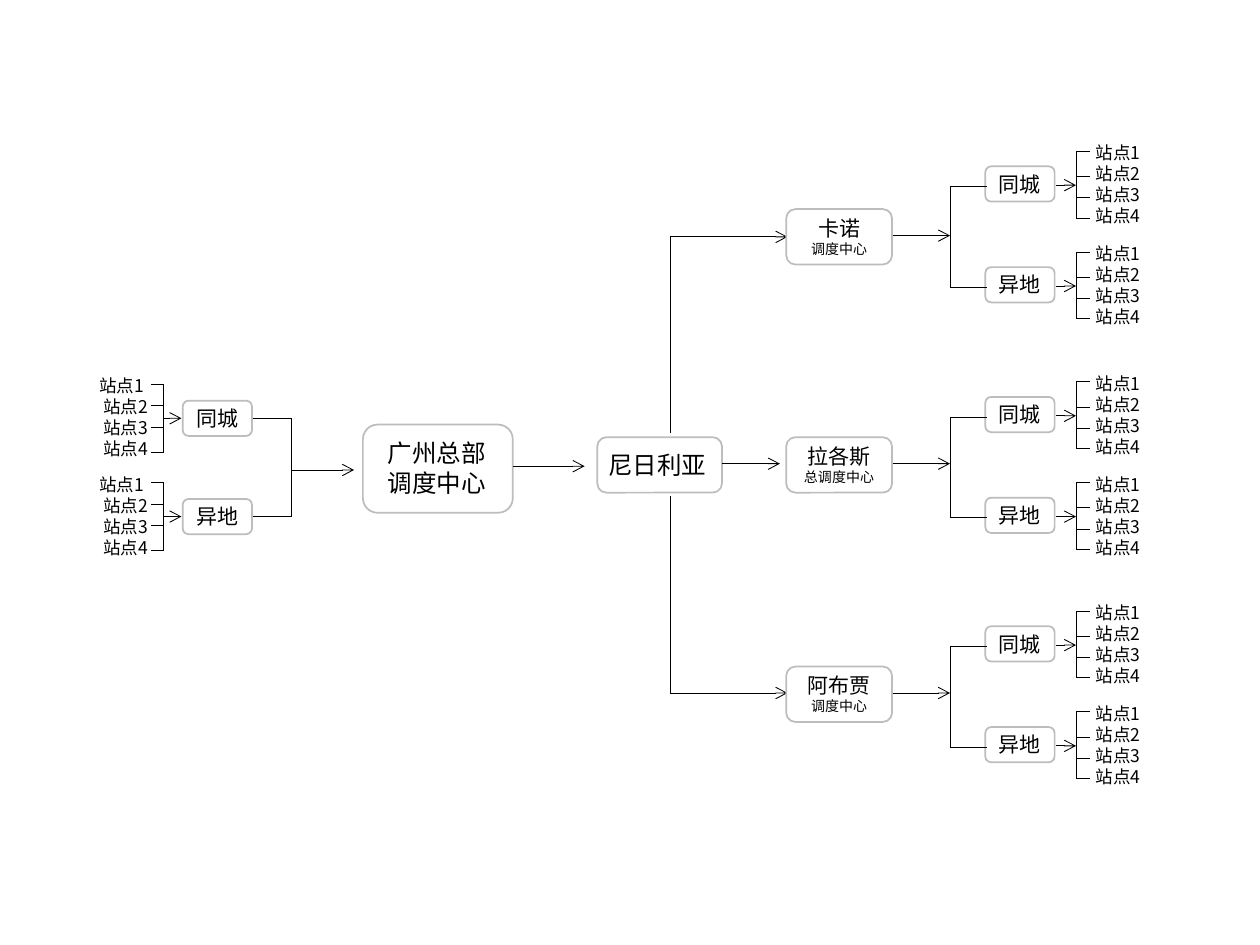
from dataclasses import dataclass

from lxml.etree import SubElement
from pptx import Presentation
from pptx.dml.color import RGBColor
from pptx.enum.shapes import MSO_CONNECTOR as Link, MSO_SHAPE as Form
from pptx.enum.text import MSO_AUTO_SIZE as Fit, PP_ALIGN as Align
from pptx.oxml.ns import qn
from pptx.slide import Slide
from pptx.util import Inches, Pt

BLACK = RGBColor(0x00, 0x00, 0x00)
WHITE = RGBColor(0xFF, 0xFF, 0xFF)
GRAY = RGBColor(0xBD, 0xBD, 0xBD)
FONT = "Noto Sans CJK SC"
STOPS = ["站点1", "站点2", "站点3", "站点4"]
GAP = 0.8


@dataclass(frozen=True)
class Area:
    left: float
    top: float
    width: float
    height: float


@dataclass(frozen=True)
class Side:
    box: float
    text: Area
    align: Align
    stops: list[str]
    spine: float
    tip: float
    ticks: tuple[float, ...]
    start: float
    end: float
    mid: float


@dataclass(frozen=True)
class City:
    name: str
    role: str
    top: float
    branch: float


LEFT = Side(1.45, Area(0.62, -0.25, 0.65, 0.77), Align.RIGHT,
            ["站点1 ", *STOPS[1:]], 1.3, 1.2,
            (-0.13, 0.04, 0.21, 0.41), 1.3, 1.44, 0.14)
RIGHT = Side(7.82, Area(8.6, -0.24, 0.93, 0.77), Align.LEFT,
             STOPS, 8.54, 8.65,
             (-0.12, 0.08, 0.25, 0.41), 8.38, 8.54, 0.15)
CITIES = [
    City("卡诺", "调度中心", 1.66, 1.32),
    City("拉各斯", "总调度中心", 3.47, 3.15),
    City("阿布贾", "调度中心", 5.29, 4.97),
]


def add_box(slide: Slide, area: Area) -> None:
    box = slide.shapes.add_shape(
        Form.FLOWCHART_ALTERNATE_PROCESS, Inches(area.left), Inches(area.top),
        Inches(area.width), Inches(area.height))
    box.shadow.inherit = False
    box.fill.solid()
    box.fill.fore_color.rgb = WHITE
    box.line.color.rgb = GRAY
    box.line.width = Pt(1)


def add_text(slide: Slide, area: Area, lines: list[str], sizes: list[int],
             align: Align = Align.CENTER) -> None:
    frame = slide.shapes.add_textbox(
        Inches(area.left), Inches(area.top),
        Inches(area.width), Inches(area.height)).text_frame
    frame.word_wrap = True
    frame.auto_size = Fit.SHAPE_TO_FIT_TEXT
    frame.text = "\n".join(lines)
    for para, size in zip(frame.paragraphs, sizes):
        para.alignment = align
        para.line_spacing = Pt(size * 1.2)
        for run in para.runs:
            run.font.size = Pt(size)
            run.font.name = FONT
            run.font.color.rgb = BLACK
            SubElement(run.font._element, qn("a:ea"), typeface=FONT)


def add_line(slide: Slide, x1: float, y1: float, x2: float, y2: float,
             arrow: bool = False) -> None:
    line = slide.shapes.add_connector(
        Link.STRAIGHT, Inches(x1), Inches(y1), Inches(x2), Inches(y2))
    line.line.color.rgb = BLACK
    line.line.width = Pt(0.5)
    if arrow:
        SubElement(line.line._get_or_add_ln(), qn("a:tailEnd"), type="arrow")
    SubElement(line._element.spPr, qn("a:effectLst"))


def add_branch(slide: Slide, side: Side, name: str, top: float) -> None:
    add_box(slide, Area(side.box, top, 0.55, 0.28))
    add_text(slide, Area(side.box, top - 0.01, 0.55, 0.3), [name], [12])
    text = side.text
    add_text(slide, Area(text.left, top + text.top, text.width, text.height),
             side.stops, [10] * len(side.stops), side.align)
    add_line(slide, side.spine, top + side.ticks[0],
             side.spine, top + side.ticks[-1])
    for tick in side.ticks:
        add_line(slide, side.tip, top + tick, side.spine, top + tick)
    add_line(slide, side.start, top + side.mid, side.end, top + side.mid, True)


def add_pair(slide: Slide, side: Side, top: float, gap: float,
             edge: float, spine: float, drop: float) -> None:
    for name, row in (("同城", top), ("异地", top + gap)):
        add_branch(slide, side, name, row)
        add_line(slide, edge, row + drop, spine, row + drop)
    add_line(slide, spine, top + drop, spine, top + gap + drop)


def add_city(slide: Slide, city: City) -> None:
    area = Area(6.24, city.top, 0.84, 0.44)
    add_box(slide, area)
    add_text(slide, area, [city.name, city.role], [12, 8])
    add_pair(slide, RIGHT, city.branch, GAP, 7.83, 7.54, 0.16)
    mid = city.top + 0.21
    add_line(slide, 7.09, mid, 7.54, mid, True)


def main() -> None:
    deck = Presentation()
    deck.slide_width, deck.slide_height = Inches(10), Inches(7.5)
    slide = deck.slides.add_slide(deck.slide_layouts[6])

    add_pair(slide, LEFT, 3.18, 0.78, 2.01, 2.31, 0.14)
    add_line(slide, 2.32, 3.73, 2.81, 3.73, True)

    add_box(slide, Area(2.88, 3.37, 1.19, 0.7))
    add_text(slide, Area(2.98, 3.43, 1.01, 0.57),
             ["广州总部调度中心"], [14], Align.LEFT)
    add_line(slide, 4.07, 3.7, 4.64, 3.7, True)

    add_box(slide, Area(4.74, 3.47, 0.99, 0.44))
    add_text(slide, Area(4.73, 3.52, 1, 0.34), ["尼日利亚"], [14], Align.LEFT)
    add_line(slide, 5.73, 3.68, 6.19, 3.68, True)
    for near, far in ((3.44, 1.88), (3.94, 5.5)):
        add_line(slide, 5.32, near, 5.32, far)
        add_line(slide, 5.32, far, 6.25, far, True)

    for city in CITIES:
        add_city(slide, city)
    deck.save("out.pptx")


if __name__ == "__main__":
    main()
